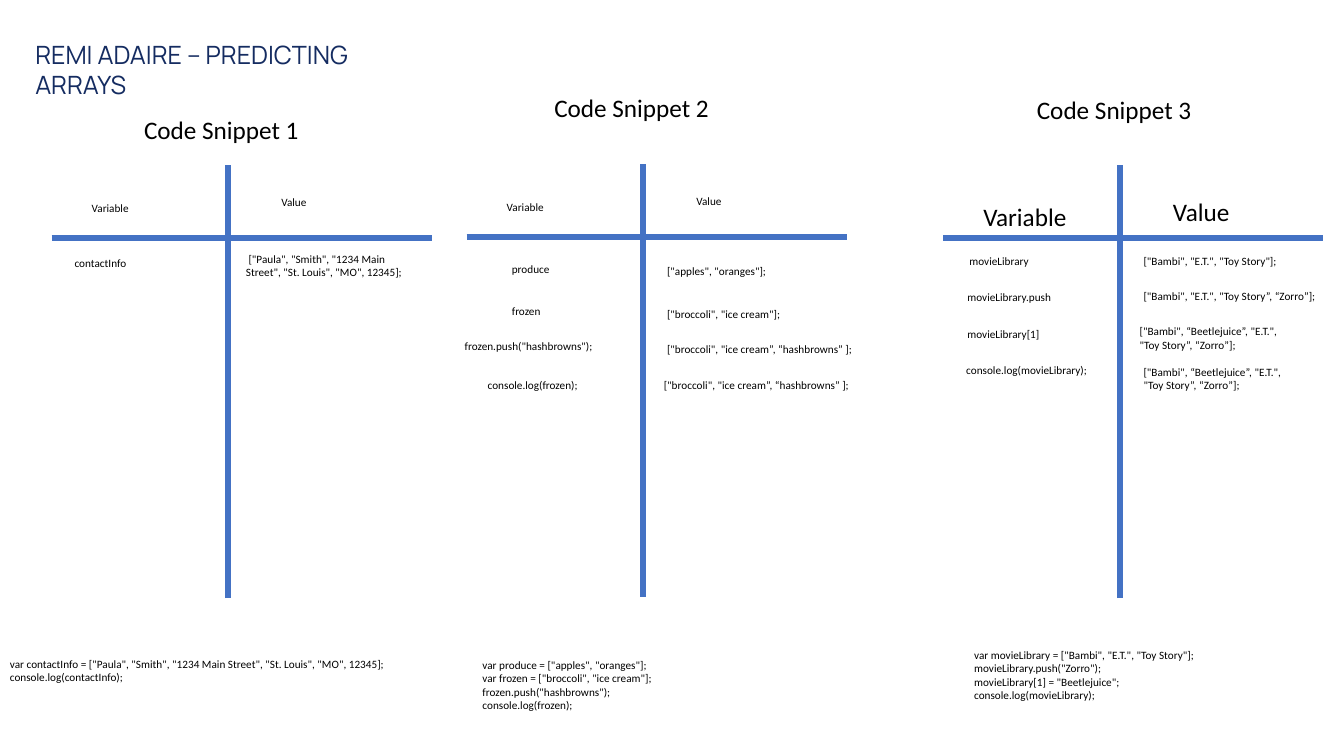
from collections import namedtuple

from lxml.etree import SubElement
from pptx import Presentation
from pptx.dml.color import RGBColor
from pptx.enum.shapes import MSO_CONNECTOR as Connector
from pptx.enum.text import MSO_AUTO_SIZE as AutoSize
from pptx.oxml.ns import qn
from pptx.util import Cm, Pt

NAVY = RGBColor(0x15, 0x2C, 0x61)
BLUE = RGBColor(0x44, 0x72, 0xC4)
BLACK = RGBColor(0x00, 0x00, 0x00)

# All lengths are in centimetres
CHART_WIDTH, CHART_HEIGHT = 9.58, 10.9
BAR_DOWN, STEM_ACROSS = 1.83, 4.45
LINE_HEIGHT = 0.61

# Places within a chart are relative to its top left corner
Label = namedtuple("Label", "text x y width wrap", defaults=[False])
Chart = namedtuple("Chart", "left top title header_size header_widths cells code")

HASHBROWNS = '["broccoli", "ice cream”, “hashbrowns” ];'
BEETLEJUICE = '["Bambi", “Beetlejuice”, "E.T.", "Toy Story”, “Zorro”];'

CHARTS = [
    Chart(1.3, 4.17, Label("Code Snippet 1", 2.08, -1.42, 4.47), 8, (1.47, 1.17), [
        Label("contactInfo", 0.33, 2.16, 1.85),
        Label(' ["Paula", "Smith", "1234 Main Street", "St. Louis", "MO", 12345];',
              4.65, 2.06, 4.62, True),
    ], Label('var contactInfo = ["Paula", "Smith", "1234 Main Street", "St. Louis", "MO", 12345];\n'
             "console.log(contactInfo);", -1.3, 12.27, 10.03)),
    Chart(11.76, 4.14, Label("Code Snippet 2", 1.96, -1.93, 4.47), 8, (1.47, 1.17), [
        Label("produce", 0.89, 2.34, 1.47),
        Label('["apples", "oranges"];', 4.8, 2.39, 3.05),
        Label("frozen", 0.89, 3.4, 1.24),
        Label('["broccoli", "ice cream"];', 4.8, 3.48, 3.4),
        Label('frozen.push("hashbrowns");', -0.3, 4.29, 3.78),
        Label(HASHBROWNS, 4.8, 4.37, 5.26),
        Label("console.log(frozen);", 0.28, 5.28, 2.82),
        Label(HASHBROWNS, 4.72, 5.28, 5.26),
    ], Label('var produce = ["apples", "oranges"];\n'
             'var frozen = ["broccoli", "ice cream"];\n'
             'frozen.push("hashbrowns");\n'
             "console.log(frozen);", 0.15, 12.32, 10.77, True)),
    Chart(23.77, 4.17, Label("Code Snippet 3", 2.11, -1.93, 4.47), 18, (2.64, 1.96), [
        Label("movieLibrary", 0.41, 2.11, 2.08),
        Label('["Bambi", "E.T.", "Toy Story"];', 4.8, 2.11, 3.96),
        Label("movieLibrary.push", 0.36, 3.02, 2.67),
        Label('["Bambi", "E.T.", "Toy Story”, “Zorro”];', 4.8, 3, 4.98),
        Label("movieLibrary[1]", 0.36, 3.96, 2.36),
        Label(BEETLEJUICE, 4.7, 3.89, 4.52, True),
        Label("console.log(movieLibrary);", 0.33, 4.85, 3.61),
        Label(BEETLEJUICE, 4.8, 4.9, 4.52, True),
    ], Label('var movieLibrary = ["Bambi", "E.T.", "Toy Story"];\n'
             'movieLibrary.push("Zorro");\n'
             'movieLibrary[1] = "Beetlejuice";\n'
             "console.log(movieLibrary);", 0.53, 12.04, 6.55, True)),
]


def add_text(page, text, left, top, width, *, size=8, font="Calibri", color=BLACK, wrap=False):
    lines = text.split("\n")
    height = 1.02 if size == 18 else LINE_HEIGHT + 0.34 * (len(lines) - 1)
    box = page.shapes.add_textbox(Cm(left), Cm(top), Cm(width), Cm(height))
    frame = box.text_frame
    frame.word_wrap = wrap
    frame.auto_size = AutoSize.SHAPE_TO_FIT_TEXT
    for index, line in enumerate(lines):
        para = frame.add_paragraph() if index else frame.paragraphs[0]
        span = para.add_run()
        span.text = line
        span.font.size = Pt(size)
        span.font.name = font
        span.font.color.rgb = color


def add_line(page, x1, y1, x2, y2):
    line = page.shapes.add_connector(Connector.STRAIGHT, Cm(x1), Cm(y1), Cm(x2), Cm(y2))
    line.line.color.rgb = BLUE
    line.line.width = Pt(4.25)
    SubElement(line._element.spPr, qn("a:effectLst"))


def add_t_chart(page, chart):
    left, top = chart.left, chart.top

    def place(label, size=8):
        add_text(page, label.text, left + label.x, top + label.y, label.width,
                 size=size, wrap=label.wrap)

    # Title and crossing lines
    place(chart.title, 18)
    add_line(page, left, top + BAR_DOWN, left + CHART_WIDTH, top + BAR_DOWN)
    add_line(page, left + STEM_ACROSS, top + CHART_HEIGHT, left + STEM_ACROSS, top)

    # Column headers
    variable_width, value_width = chart.header_widths
    place(Label("Variable", 0.76, 0.79, variable_width), chart.header_size)
    place(Label("Value", 5.54, 0.64, value_width), chart.header_size)

    # Predicted values and the code below
    for cell in chart.cells:
        place(cell)
    place(chart.code)


def main():
    deck = Presentation()
    deck.slide_width, deck.slide_height = Cm(33.87), Cm(19.05)
    page = deck.slides.add_slide(deck.slide_layouts[6])
    add_text(page, "REMI ADAIRE – PREDICTING ARRAYS", 0.64, 0.86, 10.24,
             size=18, font="Manrope", color=NAVY, wrap=True)
    for chart in CHARTS:
        add_t_chart(page, chart)
    deck.save("out.pptx")


if __name__ == "__main__":
    main()
